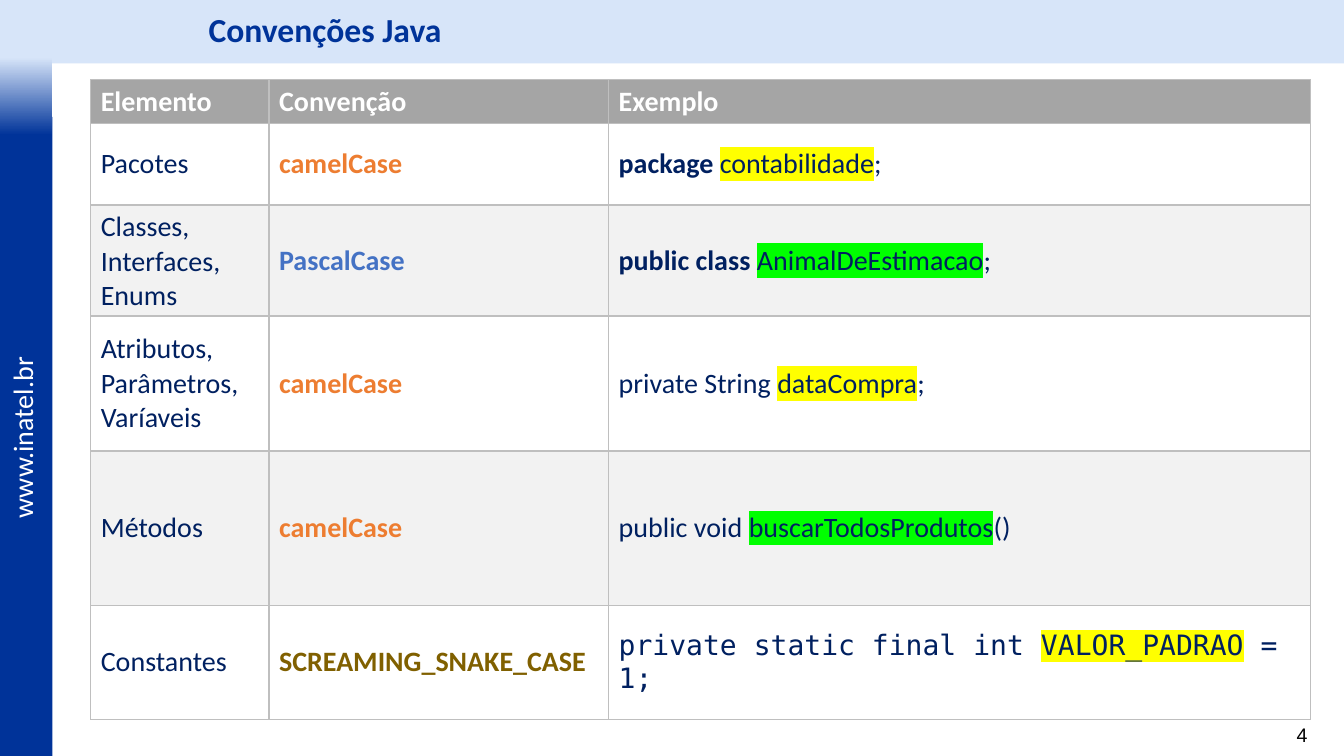
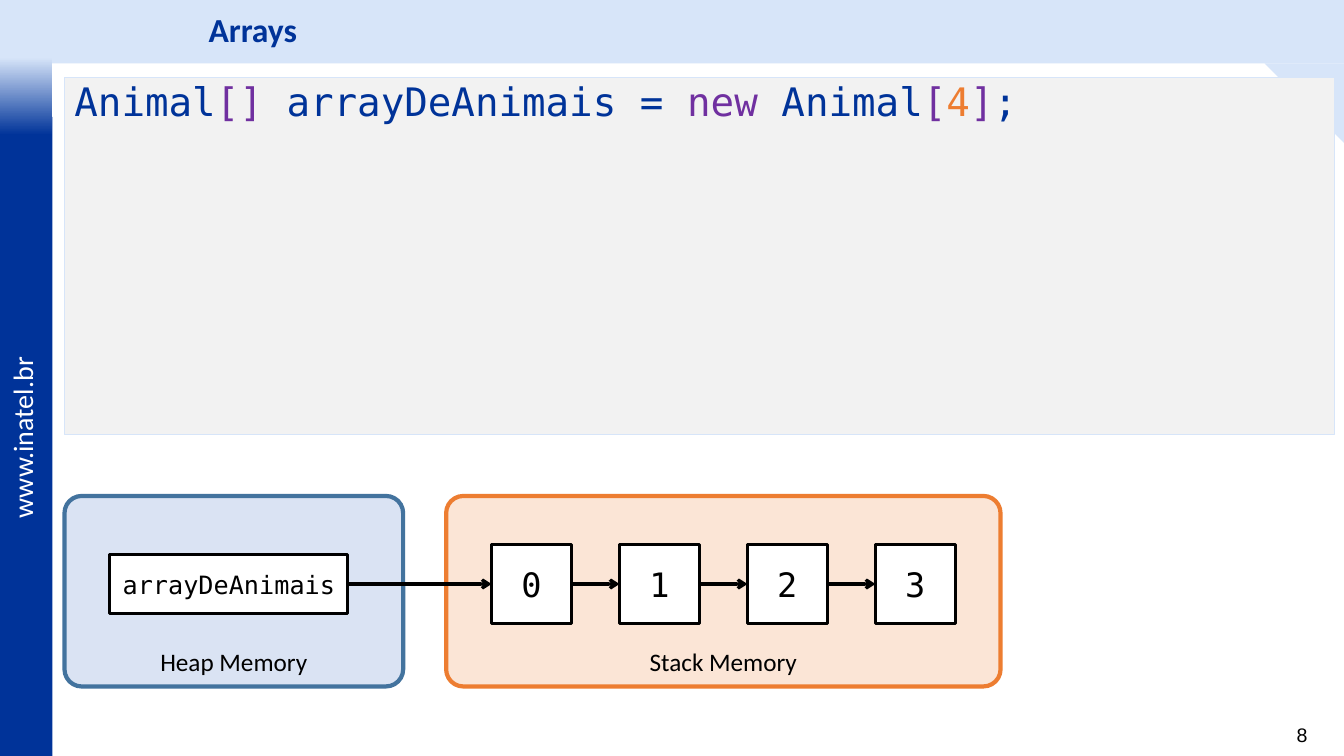
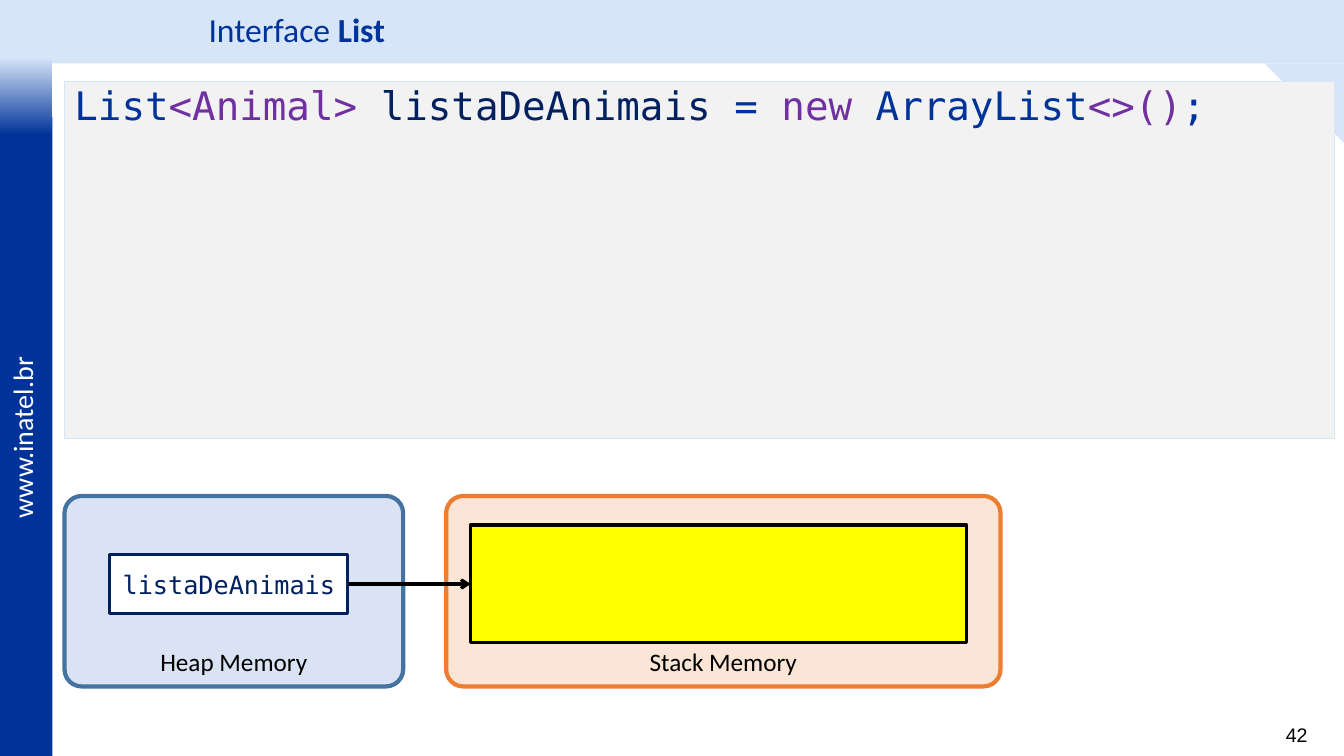
"""Builds three Java lesson slides: naming conventions, arrays and the List interface."""
from dataclasses import dataclass
from functools import partial

from lxml.etree import SubElement
from pptx import Presentation
from pptx.dml.color import RGBColor
from pptx.enum.shapes import MSO_CONNECTOR, MSO_SHAPE as Shape
from pptx.enum.text import MSO_ANCHOR as Anchor, PP_ALIGN as Align
from pptx.oxml.ns import qn
from pptx.util import Emu, Inches, Pt

WIDTH, HEIGHT = Inches(13.333), Inches(7.5)
BLACK = RGBColor(0x00, 0x00, 0x00)
WHITE = RGBColor(0xFF, 0xFF, 0xFF)
BLUE = RGBColor(0x00, 0x33, 0x99)
NAVY = RGBColor(0x00, 0x20, 0x60)
SKY = RGBColor(0xD7, 0xE5, 0xF9)
ORANGE = RGBColor(0xED, 0x7D, 0x31)
AZURE = RGBColor(0x44, 0x72, 0xC4)
OLIVE = RGBColor(0x80, 0x60, 0x00)
PURPLE = RGBColor(0x70, 0x30, 0xA0)
YELLOW = RGBColor(0xFF, 0xFF, 0x00)
GREEN = RGBColor(0x00, 0xFF, 0x00)
GRAY = RGBColor(0xA5, 0xA5, 0xA5)
PALE_GRAY = RGBColor(0xF2, 0xF2, 0xF2)
BORDER = RGBColor(0xBF, 0xBF, 0xBF)
HEAP_FILL, HEAP_LINE = RGBColor(0xDA, 0xE3, 0xF3), RGBColor(0x43, 0x73, 0x9E)
STACK_FILL = RGBColor(0xFB, 0xE5, 0xD6)
MONO = "DejaVu Sans Mono"

BAND = 8.4
RAIL = 3.9
LEFT = 4.8
AXIS = 77.25
STACK_LEFT, STACK_WIDTH = 33.2, 41.25


@dataclass
class Span:
    """A run of text with its look."""
    text: str
    color: RGBColor = BLACK
    size: float = 20
    bold: bool = False
    face: str = "Calibri"
    highlight: RGBColor = None


Code = partial(Span, size=28, face=MONO)
Title = partial(Span, color=BLUE, size=24)
Cell = partial(Span, color=NAVY)


def across(percent):
    """Length as a percentage of the slide's width."""
    return Emu(round(WIDTH * percent / 100))


def down(percent):
    """Length as a percentage of the slide's height."""
    return Emu(round(HEIGHT * percent / 100))


def area(left, top, width, height):
    """Position and size from percentages of the slide."""
    return across(left), down(top), across(width), down(height)


def on_axis(left, width, height):
    """Area whose middle lies on the memory diagram's axis."""
    return area(left, AXIS - height / 2, width, height)


def write(frame, paragraphs, align=Align.LEFT, anchor=Anchor.TOP, spacing=None):
    """Fill a text frame with paragraphs made of spans."""
    frame.word_wrap = True
    frame.vertical_anchor = anchor
    for index, spans in enumerate(paragraphs):
        para = frame.add_paragraph() if index else frame.paragraphs[0]
        para.alignment = align
        para.line_spacing = spacing
        for span in spans:
            run = para.add_run()
            run.text = span.text
            font = run.font
            font.size, font.bold, font.name = Pt(span.size), span.bold, span.face
            font.color.rgb = span.color
            if span.highlight is not None:
                props = font._element
                mark = SubElement(props, qn("a:highlight"))
                SubElement(mark, qn("a:srgbClr"), val=str(span.highlight))
                props.find(qn("a:solidFill")).addnext(mark)


def add_text(page, place, spans, **style):
    """Add a text box with one paragraph."""
    box = page.shapes.add_textbox(*place)
    write(box.text_frame, [spans], **style)
    return box


def add_box(page, place, fill, line=None, weight=2.25, kind=Shape.RECTANGLE, spans=(), **style):
    """Add a flat shape, with an optional outline and text."""
    box = page.shapes.add_shape(kind, *place)
    box.shadow.inherit = False
    box.fill.solid()
    box.fill.fore_color.rgb = fill
    if line is None:
        box.line.fill.background()
    else:
        box.line.color.rgb = line
        box.line.width = Pt(weight)
    if spans:
        write(box.text_frame, [spans], **style)
    return box


def add_arrow(page, start, end):
    """Join the right side of one box to the left side of another."""
    arrow = page.shapes.add_connector(MSO_CONNECTOR.STRAIGHT, 0, 0, 0, 0)
    arrow.begin_connect(start, 3)
    arrow.end_connect(end, 1)
    arrow.line.color.rgb = BLACK
    arrow.line.width = Pt(2.25)
    SubElement(arrow.line._get_or_add_ln(), qn("a:tailEnd"), type="arrow")
    SubElement(arrow._element.spPr, qn("a:effectLst"))


def add_page(deck, number, title):
    """Add a slide with the shared bands, address, number and title."""
    page = deck.slides.add_slide(deck.slide_layouts[6])
    add_box(page, area(0, 0, 100, BAND), SKY)
    add_box(page, area(0, 15.47, RAIL, 84.53), BLUE)
    fade = add_box(page, area(0, 7.6, RAIL, 10.27), SKY)
    fade.fill.gradient()
    fade.fill.gradient_angle = 270
    for stop, color in zip(fade.fill.gradient_stops, (SKY, BLUE)):
        stop.color.rgb = color
    address = add_text(page, area(-5.4, 54.53, 14.03, 5.73), [Span("www.inatel.br", WHITE)])
    address.rotation = 270
    add_text(page, area(93.15, 94.93, 4.88, 4.53),
             [Span(str(number), size=14, face="Arial")], align=Align.RIGHT)
    add_text(page, area(14.78, 0, 85.22, BAND), title, anchor=Anchor.MIDDLE, spacing=0.9)
    return page


def add_code(page, top, spans):
    """Add the corner wedge and the code panel over it."""
    wedge = add_box(page, area(94.1, BAND, 5.9, 10.5), SKY, kind=Shape.RIGHT_TRIANGLE)
    wedge.rotation = 180
    add_box(page, area(LEFT, top, 94.5, 47.2), PALE_GRAY, SKY, 1, spans=spans, spacing=0.9)


def add_memory(page, variable, color):
    """Add both memory areas and return the variable's box."""
    for name, left, width, fill, line in (
            ("Heap Memory", LEFT, 25.2, HEAP_FILL, HEAP_LINE),
            ("Stack Memory", STACK_LEFT, STACK_WIDTH, STACK_FILL, ORANGE)):
        region = add_box(page, area(left, 65.6, width, 25.2), fill, line, 3,
                         Shape.ROUNDED_RECTANGLE, [Span(name, size=18)],
                         align=Align.CENTER, anchor=Anchor.BOTTOM)
        region.adjustments[0] = 0.09
    return add_box(page, on_axis(8.18, 17.7, 7.87), WHITE, color,
                   spans=[Code(variable, color, size=18)],
                   align=Align.CENTER, anchor=Anchor.MIDDLE)


def style_cell(cell, paragraphs, fill):
    """Write a table cell and give it a fill and four borders."""
    write(cell.text_frame, paragraphs)
    cell.vertical_anchor = Anchor.MIDDLE
    props = cell._tc.get_or_add_tcPr()
    for side in ("lnL", "lnR", "lnT", "lnB"):
        edge = SubElement(props, qn(f"a:{side}"), w=str(Pt(1)))
        SubElement(SubElement(edge, qn("a:solidFill")), qn("a:srgbClr"), val=str(BORDER))
    cell.fill.solid()
    cell.fill.fore_color.rgb = fill


def add_grid(page, left, top, columns, rows, content):
    """Add a table with a gray header and alternating rows."""
    place = area(left, top, sum(columns), sum(rows))
    table = page.shapes.add_table(len(rows), len(columns), *place).table
    table.horz_banding = False
    for column, width in zip(table.columns, columns):
        column.width = across(width)
    for index, (row, height, texts) in enumerate(zip(table.rows, rows, content)):
        row.height = down(height)
        fill = GRAY if index == 0 else WHITE if index % 2 else PALE_GRAY
        for cell, paragraphs in zip(row.cells, texts):
            style_cell(cell, paragraphs, fill)


def convention(names, style, color, example):
    """Table row: element names, naming style and example."""
    return [[Cell(name)] for name in names], [[Span(style, color, bold=True)]], [example]


def conventions_page(deck):
    """Slide with the table of naming conventions."""
    page = add_page(deck, 4, [Title("Convenções Java", bold=True)])
    header = [[[Span(name, WHITE, bold=True)]] for name in ("Elemento", "Convenção", "Exemplo")]
    camel = ("camelCase", ORANGE)
    content = [
        header,
        convention(["Pacotes"], *camel, [
            Cell("package ", bold=True), Cell("contabilidade", highlight=YELLOW), Cell(";")]),
        convention(["Classes,", "Interfaces,", "Enums"], "PascalCase", AZURE, [
            Cell("public class ", bold=True), Cell("AnimalDeEstimacao", highlight=GREEN),
            Cell(";")]),
        convention(["Atributos,", "Parâmetros,", "Varíaveis"], *camel, [
            Cell("private String "), Cell("dataCompra", highlight=YELLOW), Cell(";")]),
        convention(["Métodos"], *camel, [
            Cell("public void "), Cell("buscarTodosProdutos", highlight=GREEN), Cell("()")]),
        convention(["Constantes"], "SCREAMING_SNAKE_CASE", OLIVE, [
            Cell("private static final int ", face=MONO),
            Cell("VALOR_PADRAO", face=MONO, highlight=YELLOW), Cell(" = 1;", face=MONO)]),
    ]
    add_grid(page, 6.75, 10.53, (13.27, 25.27, 52.2),
             (5.47, 10.8, 14.67, 17.87, 20.4, 15.07), content)


def arrays_page(deck):
    """Slide with an array and its four linked cells."""
    page = add_page(deck, 8, [Title("Arrays", bold=True)])
    add_code(page, 10.27, [
        Code("Animal", BLUE), Code("[]", PURPLE), Code(" arrayDeAnimais = ", BLUE),
        Code("new", PURPLE), Code(" Animal", BLUE), Code("[", PURPLE), Code("4", ORANGE),
        Code("]", PURPLE), Code(";", BLUE)])
    previous = add_memory(page, "arrayDeAnimais", BLACK)
    count, side, pitch = 4, 5.93, 9.52
    first = STACK_LEFT + (STACK_WIDTH - side - (count - 1) * pitch) / 2
    for index in range(count):
        slot = add_box(page, on_axis(first + index * pitch, side, 10.53), WHITE, BLACK,
                       spans=[Code(str(index), size=24)],
                       align=Align.CENTER, anchor=Anchor.MIDDLE)
        add_arrow(page, previous, slot)
        previous = slot


def list_page(deck):
    """Slide with a list variable pointing to its object."""
    page = add_page(deck, 42, [Title("Interface "), Title("List", bold=True)])
    add_code(page, 10.8, [
        Code("List", BLUE), Code("<Animal> ", PURPLE), Code("listaDeAnimais", NAVY),
        Code(" = ", BLUE), Code("new", PURPLE), Code(" ArrayList", BLUE),
        Code("<>()", PURPLE), Code(";", BLUE)])
    variable = add_memory(page, "listaDeAnimais", NAVY)
    target = add_box(page, on_axis(35.03, 36.9, 15.6), YELLOW, BLACK)
    add_arrow(page, variable, target)


def main():
    """Build and save the deck."""
    deck = Presentation()
    deck.slide_width, deck.slide_height = WIDTH, HEIGHT
    conventions_page(deck)
    arrays_page(deck)
    list_page(deck)
    deck.save("out.pptx")


if __name__ == "__main__":
    main()
